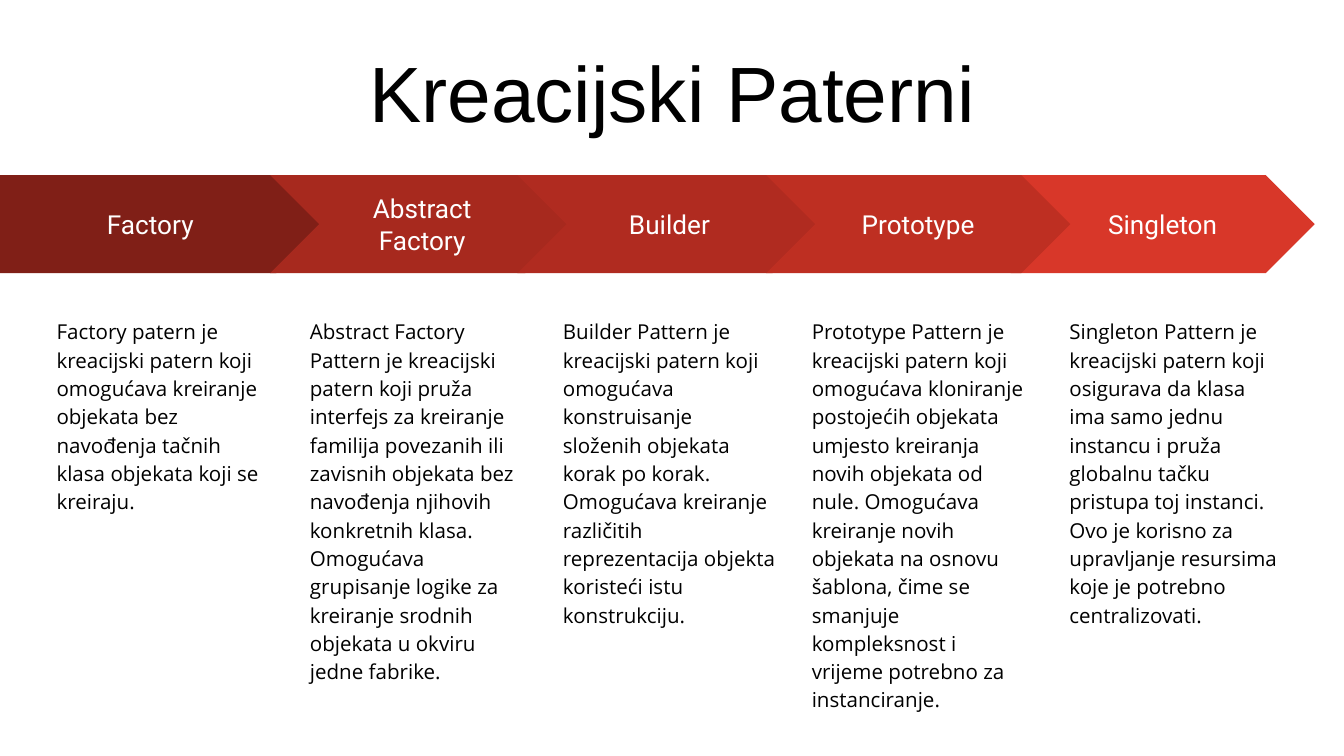
from dataclasses import dataclass

from pptx import Presentation
from pptx.dml.color import RGBColor
from pptx.enum.shapes import MSO_SHAPE as SHAPE
from pptx.enum.text import MSO_ANCHOR as ANCHOR, PP_ALIGN as ALIGN
from pptx.util import Pt


@dataclass(frozen=True)
class Theme:
    ink: str = "000000"
    paper: str = "FFFFFF"
    reds: tuple = ("801F17", "A7291E", "B02B20", "BE2F22", "D83729")
    title_font: str = "Arial"
    label_font: str = "Roboto"
    body_font: str = "Open Sans"
    title_size: int = 42
    label_size: int = 14
    body_size: int = 11
    inset: float = 7.2


class SlideBuilder:
    def __init__(self, slide, theme):
        self.s = slide
        self.theme = theme
        fill = slide.background.fill
        fill.solid()
        fill.fore_color.rgb = RGBColor.from_string(theme.paper)

    def _write(self, sp, text, font, size, color, align, anchor, spacing=1.0):
        tf = sp.text_frame
        tf.word_wrap = True
        tf.vertical_anchor = anchor
        tf.margin_left = tf.margin_right = Pt(self.theme.inset)
        tf.margin_top = tf.margin_bottom = Pt(self.theme.inset)
        p = tf.paragraphs[0]
        p.alignment = align
        p.line_spacing = spacing
        r = p.add_run()
        r.text = text
        r.font.name = font
        r.font.size = Pt(size)
        r.font.color.rgb = RGBColor.from_string(color)

    def _box(self, x, y, w, h):
        return self.s.shapes.add_textbox(Pt(x), Pt(y), Pt(w), Pt(h))

    def title(self, text, x, y, w, h):
        t = self.theme
        self._write(self._box(x, y, w, h), text, t.title_font, t.title_size,
                    t.ink, ALIGN.CENTER, ANCHOR.BOTTOM)

    def arrow(self, kind, text, color, x, y, w, h):
        t = self.theme
        sp = self.s.shapes.add_shape(kind, Pt(x), Pt(y), Pt(w), Pt(h))
        sp.shadow.inherit = False
        sp.adjustments[0] = 0.5
        sp.fill.solid()
        sp.fill.fore_color.rgb = RGBColor.from_string(color)
        sp.line.fill.background()
        self._write(sp, text, t.label_font, t.label_size, t.paper,
                    ALIGN.CENTER, ANCHOR.MIDDLE)

    def body(self, text, x, y, w, h):
        t = self.theme
        self._write(self._box(x, y, w, h), text, t.body_font, t.body_size,
                    t.ink, ALIGN.LEFT, ANCHOR.TOP, 1.15)


ARROW_Y, ARROW_H = 93.8, 52.6
FIRST_W, CHEVRON_W = 174.2, 162.9
BODY_Y, BODY_W, BODY_H = 162, 128.2, 185

# name, arrow left, description left, description
PATTERNS = [
    ("Factory", 0, 23.2,
     "Factory patern je kreacijski patern koji omogućava kreiranje objekata "
     "bez navođenja tačnih klasa objekata koji se kreiraju."),
    ("Abstract Factory", 144.7, 158.9,
     "Abstract Factory Pattern je kreacijski patern koji pruža interfejs za "
     "kreiranje familija povezanih ili zavisnih objekata bez navođenja "
     "njihovih konkretnih klasa. Omogućava grupisanje logike za kreiranje "
     "srodnih objekata u okviru jedne fabrike."),
    ("Builder", 277.2, 294.5,
     "Builder Pattern je kreacijski patern koji omogućava konstruisanje "
     "složenih objekata korak po korak. Omogućava kreiranje različitih "
     "reprezentacija objekta koristeći istu konstrukciju."),
    ("Prototype", 410.4, 427.8,
     "Prototype Pattern je kreacijski patern koji omogućava kloniranje "
     "postojećih objekata umjesto kreiranja novih objekata od nule. "
     "Omogućava kreiranje novih objekata na osnovu šablona, čime se smanjuje "
     "kompleksnost i vrijeme potrebno za instanciranje."),
    ("Singleton", 541.4, 565.8,
     "Singleton Pattern je kreacijski patern koji osigurava da klasa ima samo "
     "jednu instancu i pruža globalnu tačku pristupa toj instanci. Ovo je "
     "korisno za upravljanje resursima koje je potrebno centralizovati."),
]
# Prototype comes last so that its tip lies over the Singleton arrow
STACKING = (0, 1, 2, 4, 3)


def main():
    prs = Presentation()
    prs.slide_width, prs.slide_height = Pt(720), Pt(405)
    theme = Theme()
    slide = SlideBuilder(prs.slides.add_slide(prs.slide_layouts[6]), theme)

    slide.title("Kreacijski Paterni", 24.5, 15.8, 671, 65.5)
    for i in STACKING:
        name, arrow_x, body_x, text = PATTERNS[i]
        kind, width = ((SHAPE.CHEVRON, CHEVRON_W) if i
                       else (SHAPE.PENTAGON, FIRST_W))
        slide.arrow(kind, name, theme.reds[i], arrow_x, ARROW_Y, width, ARROW_H)
        slide.body(text, body_x, BODY_Y, BODY_W, BODY_H)

    prs.save("out.pptx")


if __name__ == "__main__":
    main()
